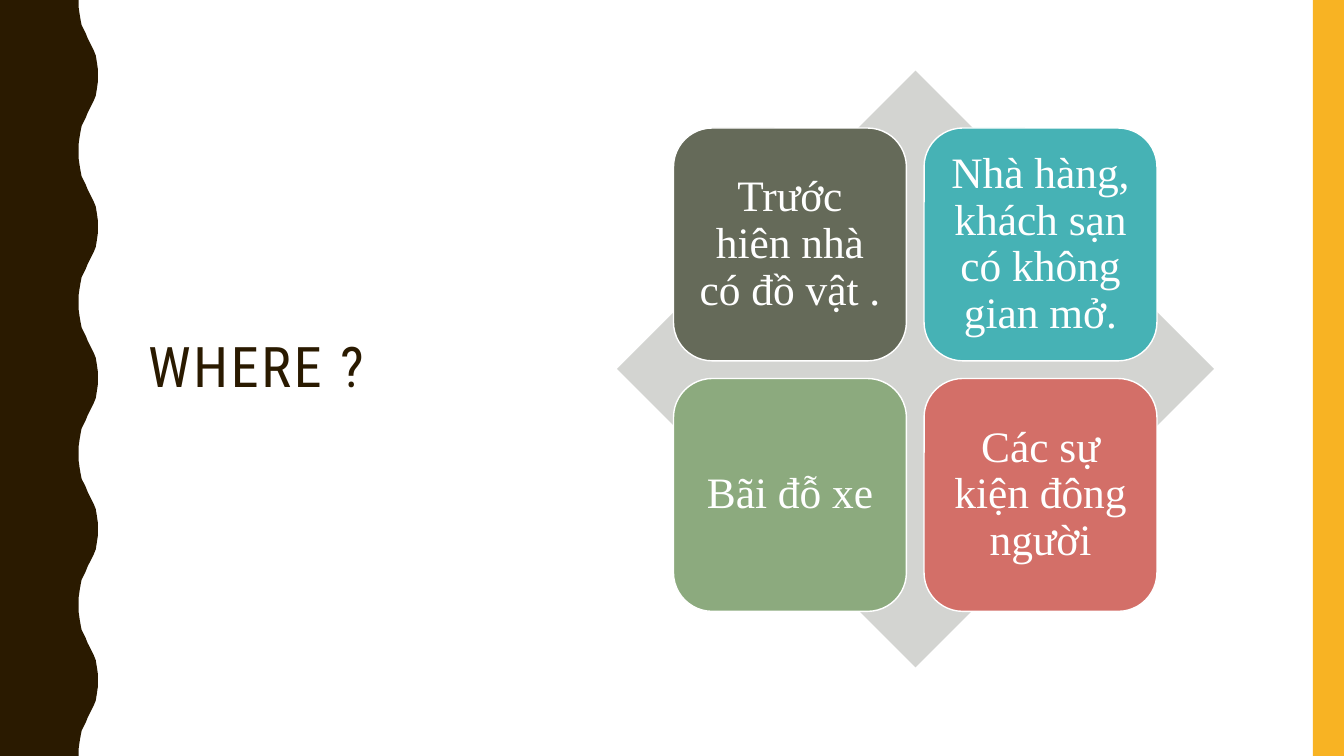
from pptx import Presentation
from pptx.dml.color import RGBColor
from pptx.enum.shapes import MSO_SHAPE
from pptx.enum.text import MSO_ANCHOR, PP_ALIGN
from pptx.util import Inches, Pt

RECT, DIAMOND = MSO_SHAPE.RECTANGLE, MSO_SHAPE.DIAMOND
ROUNDED = MSO_SHAPE.ROUNDED_RECTANGLE
MIDDLE = MSO_ANCHOR.MIDDLE
LEFT, CENTER = PP_ALIGN.LEFT, PP_ALIGN.CENTER

COLORS = {
    "brown": "2A1A00", "amber": "F8B323", "gray": "D3D4D1", "white": "FFFFFF",
    "olive": "656A59", "teal": "46B2B5", "green": "8CAA7E", "red": "D36F68",
}
WIDTH, HEIGHT = 13.33, 7.5


def rgb(name):
    return RGBColor.from_string(COLORS[name])


def write(tf, text, font, size, color, align=LEFT, inset=None, tracking=0):
    """Fill a text frame with one middle-anchored paragraph."""
    tf.word_wrap = True
    tf.vertical_anchor = MIDDLE
    if inset is not None:
        tf.margin_left = tf.margin_right = Inches(inset)
        tf.margin_top = tf.margin_bottom = Inches(inset)
    p = tf.paragraphs[0]
    p.alignment = align
    p.line_spacing = 0.9
    r = p.add_run()
    r.text = text
    r.font.name = font
    r.font.size = Pt(size)
    r.font.color.rgb = rgb(color)
    if tracking:
        r.font._element.set("spc", str(tracking * 100))


class SlideBuilder:
    heading_font = "Roboto Condensed"
    body_font = "Times New Roman"

    def __init__(self, slide):
        self.shapes = slide.shapes

    def paint(self, sp, fill, line=None):
        sp.shadow.inherit = False
        sp.fill.solid()
        sp.fill.fore_color.rgb = rgb(fill)
        if line:
            sp.line.color.rgb = rgb(line)
            sp.line.width = Pt(1)
        else:
            sp.line.fill.background()
        return sp

    def shape(self, kind, x, y, w, h, fill, line=None):
        sp = self.shapes.add_shape(kind, Inches(x), Inches(y), Inches(w), Inches(h))
        return self.paint(sp, fill, line)

    def outline(self, points, fill):
        pts = [(Inches(x), Inches(y)) for x, y in points]
        fb = self.shapes.build_freeform(*pts[0], scale=1.0)
        fb.add_line_segments(pts[1:], close=True)
        return self.paint(fb.convert_to_shape(), fill)

    def title(self, text, x, y, w, h):
        box = self.shapes.add_textbox(Inches(x), Inches(y), Inches(w), Inches(h))
        write(box.text_frame, text, self.heading_font, 40, "brown", tracking=2)

    def card(self, text, x, y, size, fill):
        sp = self.shape(ROUNDED, x, y, size, size, fill, "white")
        write(sp.text_frame, text, self.body_font, 31, "white", CENTER, inset=0.13)


def wave_points():
    """Band on the left whose right edge repeats one symmetric wave."""
    period, waves = 1.5, 5
    rise = [(0.78, 0), (0.78, 0.07), (0.79, 0.14), (0.8, 0.2), (0.81, 0.25),
            (0.83, 0.29), (0.85, 0.33), (0.87, 0.38), (0.89, 0.42), (0.91, 0.46),
            (0.93, 0.5), (0.95, 0.55), (0.96, 0.61), (0.97, 0.68), (0.97, 0.75)]
    fall = [(x, period - y) for x, y in rise[-2::-1]]
    edge = [(x, y + i * period) for i in range(waves) for x, y in rise + fall[:-1]]
    return [(0, 0)] + edge + [(rise[0][0], HEIGHT), (0, HEIGHT)]


def main():
    prs = Presentation()
    prs.slide_width, prs.slide_height = Inches(WIDTH), Inches(HEIGHT)
    s = SlideBuilder(prs.slides.add_slide(prs.slide_layouts[6]))

    # Side bands
    s.outline(wave_points(), "brown")
    s.shape(RECT, 13.02, 0, 0.31, HEIGHT, "amber")

    # Title
    s.title("WHERE ?", 1.37, 0.7, 3.7, 5.92)

    # Diamond with a two-by-two grid of cards
    s.shape(DIAMOND, 6.12, 0.7, 5.92, 5.92, "gray")
    cards = [
        ("Trước hiên nhà có đồ vật .", "olive"),
        ("Nhà hàng, khách sạn có không gian mở.", "teal"),
        ("Bãi đỗ xe", "green"),
        ("Các sự kiện đông người", "red"),
    ]
    left, top, size, pitch = 6.68, 1.27, 2.31, 2.485
    for i, (text, fill) in enumerate(cards):
        row, col = divmod(i, 2)
        s.card(text, left + col * pitch, top + row * pitch, size, fill)

    prs.save("out.pptx")


if __name__ == "__main__":
    main()
